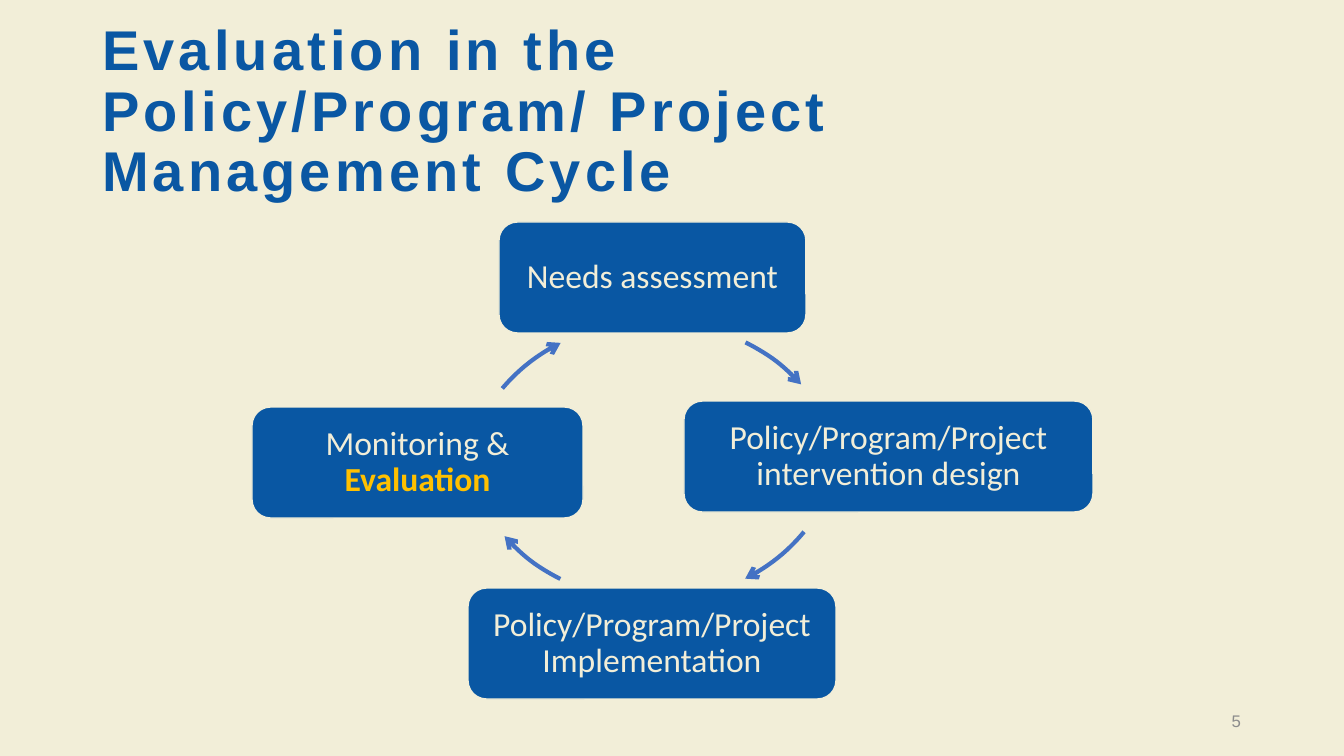
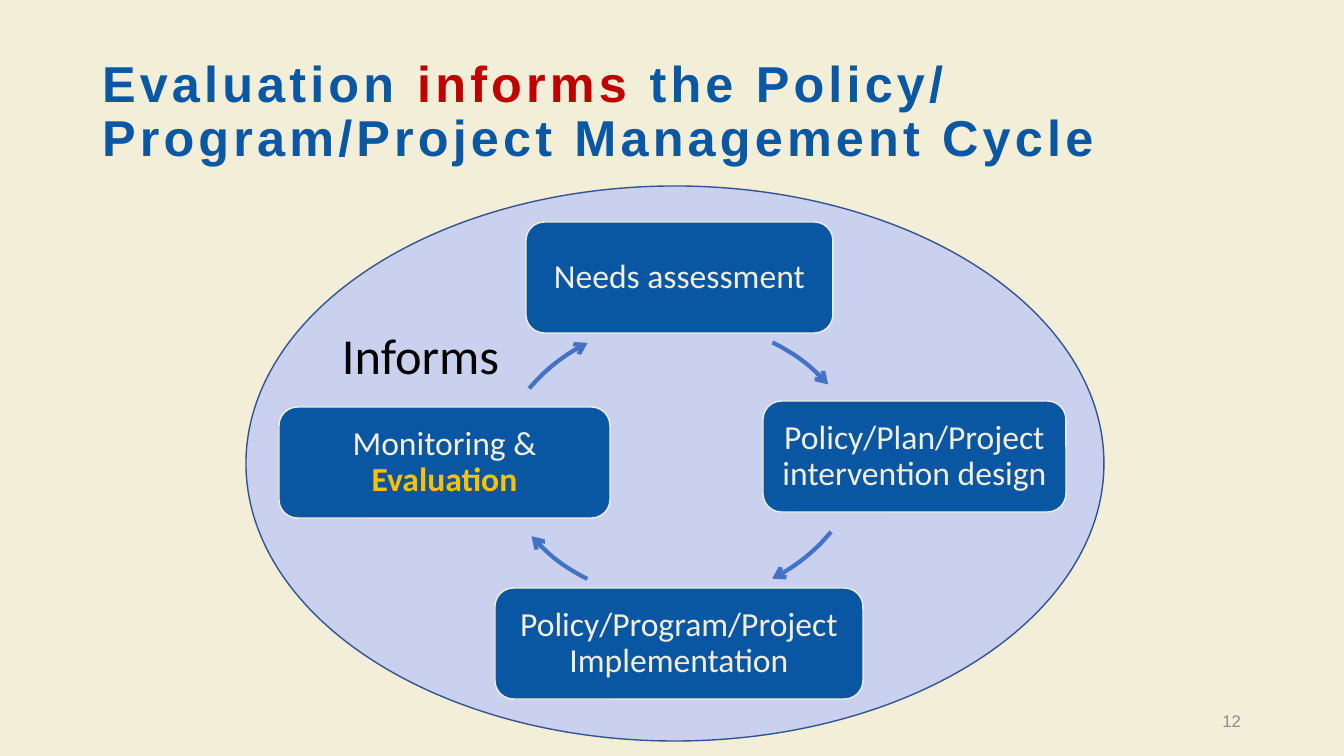
"""Build two slides showing evaluation in the project management cycle."""
from typing import NamedTuple

from lxml import etree
from pptx import Presentation
from pptx.dml.color import RGBColor
from pptx.enum.shapes import MSO_SHAPE as SHAPE
from pptx.enum.text import MSO_ANCHOR as ANCHOR, MSO_AUTO_SIZE as AUTO_SIZE, PP_ALIGN as ALIGN
from pptx.oxml.ns import qn
from pptx.util import Emu, Pt

CREAM = RGBColor(0xF2, 0xEE, 0xD8)
TITLE_BLUE = RGBColor(0x0A, 0x57, 0xA3)
BOX_BLUE = RGBColor(0x09, 0x57, 0xA3)
ARROW_BLUE = RGBColor(0x44, 0x72, 0xC4)
LAVENDER = RGBColor(0xCA, 0xD1, 0xEE)
OUTLINE = RGBColor(0x32, 0x54, 0x91)
RED = RGBColor(0xC0, 0x00, 0x00)
GOLD = RGBColor(0xFF, 0xC0, 0x00)
GREY = RGBColor(0x8C, 0x8C, 0x8C)
BLACK = RGBColor(0x00, 0x00, 0x00)

EMU_PER_PX = 914400 / 100.8
HEADING_FONT, BODY_FONT = "Arial", "Calibri"
BOX_H, BOX_MARGIN, CIRCLE = 111, 10, 365
CYCLE_SHIFT = 27


class Span(NamedTuple):
    text: str
    color: RGBColor
    bold: bool = False


class Step(NamedTuple):
    left: int
    top: int
    width: int
    spans: list[Span]


class Arc(NamedTuple):
    left: int
    top: int
    start: float
    end: float


NEEDS = Step(499, 222, 307, [Span("Needs assessment", CREAM)])
DESIGN = Step(684, 401, 409, [Span("Policy/Program/Project intervention design", CREAM)])
PLAN_DESIGN = Step(736, 401, 303, [Span("Policy/Plan/Project intervention design", CREAM)])
IMPLEMENTATION = Step(468, 588, 368, [Span("Policy/Program/Project Implementation", CREAM)])
MONITORING = Step(252, 407, 331, [Span("Monitoring & ", CREAM), Span("Evaluation", GOLD, True)])
ARCS = [
    Arc(483, 324, 296, 318),
    Arc(481, 233, 39.6, 63.4),
    Arc(459, 233, 116.4, 138.6),
    Arc(459, 324, 220.3, 243.7),
]


def px(n: int) -> Emu:
    return Emu(round(n * EMU_PER_PX))


def box(left: int, top: int, width: int, height: int) -> tuple[Emu, ...]:
    return px(left), px(top), px(width), px(height)


def write(tf, spans: list[Span], size: int, font: str, align=ALIGN.LEFT,
          line_spacing: float = 1.0, tracking: int = 0) -> None:
    tf.word_wrap = True
    p = tf.paragraphs[0]
    p.alignment = align
    p.line_spacing = line_spacing
    for span in spans:
        r = p.add_run()
        r.text = span.text
        r.font.size = Pt(size)
        r.font.name = font
        r.font.bold = span.bold
        r.font.color.rgb = span.color
        if tracking:
            r._r.get_or_add_rPr().set("spc", str(tracking * 100))


def add_panel(s, kind, bounds: tuple[Emu, ...], fill: RGBColor, line: RGBColor):
    sp = s.shapes.add_shape(kind, *bounds)
    sp.shadow.inherit = False
    sp.fill.solid()
    sp.fill.fore_color.rgb = fill
    sp.line.color.rgb = line
    sp.line.width = Pt(1)
    return sp


def add_step(s, step: Step, shift: int) -> None:
    bounds = box(step.left + shift, step.top, step.width, BOX_H)
    tf = add_panel(s, SHAPE.ROUNDED_RECTANGLE, bounds, BOX_BLUE, CREAM).text_frame
    tf.margin_left = tf.margin_right = tf.margin_top = tf.margin_bottom = px(BOX_MARGIN)
    tf.vertical_anchor = ANCHOR.MIDDLE
    write(tf, step.spans, 24, BODY_FONT, ALIGN.CENTER, 0.9)


def add_arc(s, arc: Arc, shift: int) -> None:
    sp = s.shapes.add_shape(SHAPE.ARC, *box(arc.left + shift, arc.top, CIRCLE, CIRCLE))
    sp.shadow.inherit = False
    sp.adjustments[0] = arc.start * 0.6
    sp.adjustments[1] = arc.end * 0.6
    sp.fill.background()
    sp.line.color.rgb = ARROW_BLUE
    sp.line.width = Pt(3)
    etree.SubElement(sp.line._get_or_add_ln(), qn("a:tailEnd"), type="arrow")


def add_cycle(s, steps: list[Step], shift: int = 0) -> None:
    for step, arc in zip(steps, ARCS):
        add_step(s, step, shift)
        add_arc(s, arc, shift)


def add_text(s, bounds: tuple[Emu, ...], span: Span, size: int, font: str,
             align=ALIGN.LEFT, anchor=ANCHOR.TOP) -> None:
    tf = s.shapes.add_textbox(*bounds).text_frame
    tf.vertical_anchor = anchor
    write(tf, [span], size, font, align)


def add_slide(prs, title: list[Span], size: int, number: str):
    s = prs.slides.add_slide(prs.slide_layouts[5])
    sp = s.shapes.title
    sp.left, sp.top, sp.width, sp.height = box(92, 40, 1027, 146)
    tf = sp.text_frame
    tf.auto_size = AUTO_SIZE.NONE
    tf.vertical_anchor = ANCHOR.MIDDLE
    write(tf, title, size, HEADING_FONT, line_spacing=0.9, tracking=3)
    add_text(s, box(949, 701, 302, 40), Span(number, GREY), 12, HEADING_FONT,
             ALIGN.RIGHT, ANCHOR.MIDDLE)
    return s


def add_cycle_slide(prs) -> None:
    title = "Evaluation in the Policy/Program/ Project Management Cycle"
    s = add_slide(prs, [Span(title, TITLE_BLUE, True)], 40, "5")
    add_cycle(s, [NEEDS, DESIGN, IMPLEMENTATION, MONITORING])


def add_informs_slide(prs) -> None:
    title = [
        Span("Evaluation ", TITLE_BLUE, True),
        Span("informs", RED, True),
        Span(" the Policy/ Program/Project Management Cycle", TITLE_BLUE, True),
    ]
    s = add_slide(prs, title, 36, "12")
    add_panel(s, SHAPE.OVAL, box(246, 186, 858, 555), LAVENDER, OUTLINE)
    add_cycle(s, [NEEDS, PLAN_DESIGN, IMPLEMENTATION, MONITORING], CYCLE_SHIFT)
    add_text(s, box(332, 319, 186, 72), Span("Informs", BLACK), 36, BODY_FONT)


def main() -> None:
    prs = Presentation()
    prs.slide_width, prs.slide_height = px(1344), px(756)
    fill = prs.slide_master.background.fill
    fill.solid()
    fill.fore_color.rgb = CREAM
    add_cycle_slide(prs)
    add_informs_slide(prs)
    prs.save("out.pptx")


if __name__ == "__main__":
    main()
